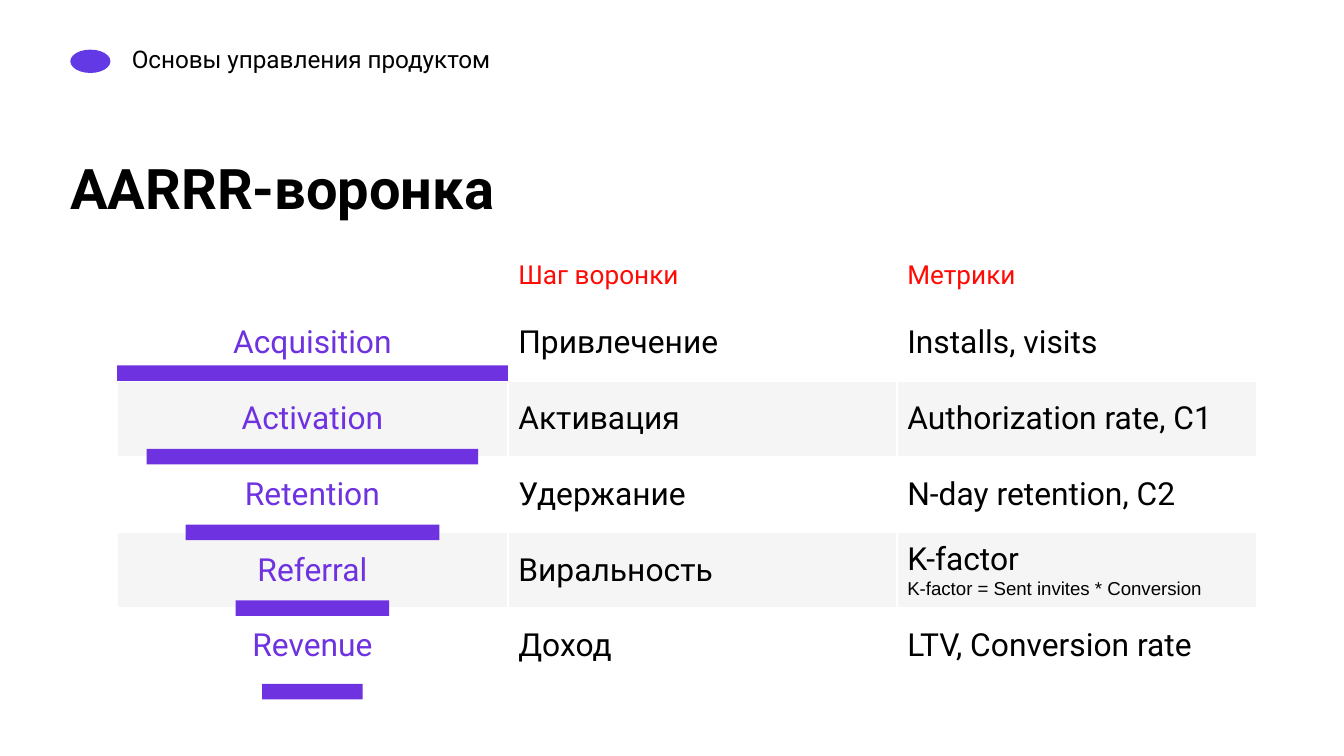
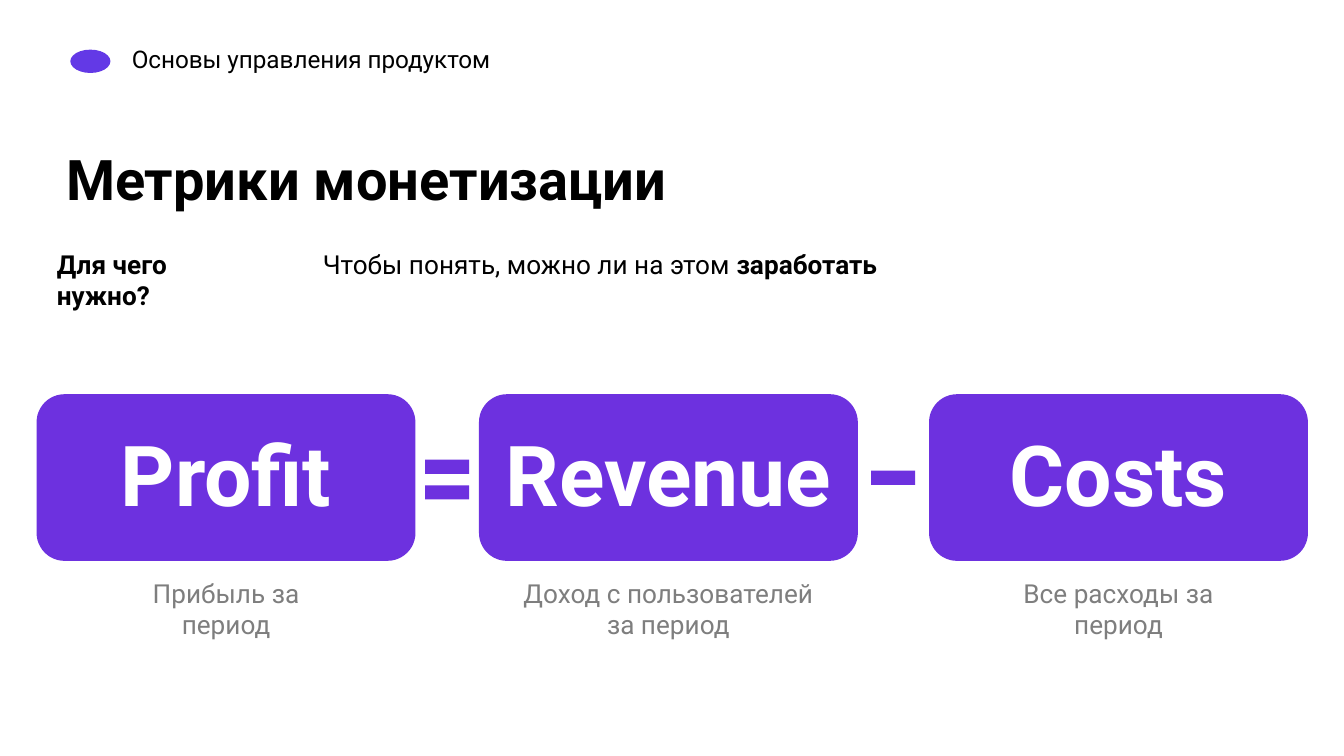
from dataclasses import dataclass

from lxml import etree
from pptx import Presentation
from pptx.dml.color import RGBColor
from pptx.enum.shapes import MSO_SHAPE
from pptx.enum.text import MSO_ANCHOR, PP_ALIGN
from pptx.oxml.ns import qn
from pptx.util import Pt

PURPLE = "6E32E0"
BLOCK = "6D31DF"
MARK = "6339E6"
RED = "FF0A05"
GREY = "7E7E7E"
STRIPE = "F5F5F5"
WHITE = "FFFFFF"
BLACK = "000000"


def color(hex_value):
    return RGBColor.from_string(hex_value)


@dataclass
class Line:
    """One paragraph; bold_tail is a closing run in bold."""
    text: str
    size: float = 14
    color: str = BLACK
    bold: bool = False
    centered: bool = False
    before: float = 0
    spacing: float = 1.0
    font: str = "Roboto"
    bold_tail: str = ""


class Deck:
    def __init__(self):
        self.presentation = Presentation()
        self.presentation.slide_width = Pt(720)
        self.presentation.slide_height = Pt(405)
        self.slide = None

    def add_slide(self, title, left, top):
        """Start a slide with the course header and a title."""
        self.slide = self.presentation.slides.add_slide(self.presentation.slide_layouts[6])
        self.block(37.7, 26.6, 21.5, 12.5, MARK, MSO_SHAPE.OVAL)
        self.text(67.7, 20.9, 425.5, 18,
                  [Line("Основы управления продуктом", 13, spacing=1.01)], (2.9, 2.9))
        self.text(left, top, 571, 35.3, [Line(title, 30, bold=True)])

    def block(self, left, top, width, height, fill, kind=MSO_SHAPE.RECTANGLE):
        shape = self.slide.shapes.add_shape(kind, Pt(left), Pt(top), Pt(width), Pt(height))
        shape.shadow.inherit = False
        shape.fill.solid()
        shape.fill.fore_color.rgb = color(fill)
        shape.line.fill.background()
        return shape

    def set_lines(self, frame, lines):
        for index, line in enumerate(lines):
            paragraph = frame.add_paragraph() if index else frame.paragraphs[0]
            paragraph.alignment = PP_ALIGN.CENTER if line.centered else PP_ALIGN.LEFT
            paragraph.line_spacing = line.spacing
            if index:
                paragraph.space_before = Pt(line.before)
            font = paragraph.font
            font.name, font.size, font.bold = line.font, Pt(line.size), line.bold
            font.color.rgb = color(line.color)
            if line.text:
                paragraph.add_run().text = line.text
            if line.bold_tail:
                tail = paragraph.add_run()
                tail.text = line.bold_tail
                tail.font.bold = True

    def text(self, left, top, width, height, lines, inset=(0, 0.7)):
        frame = self.slide.shapes.add_textbox(
            Pt(left), Pt(top), Pt(width), Pt(height)).text_frame
        frame.word_wrap = True
        frame.margin_left = frame.margin_right = Pt(inset[0])
        frame.margin_top = Pt(inset[1])
        frame.margin_bottom = Pt(0)
        self.set_lines(frame, lines)

    def table(self, left, top, widths, heights, rows):
        """Rows of cells, each a list of lines; the first row is the header."""
        table = self.slide.shapes.add_table(
            len(rows), len(widths), Pt(left), Pt(top),
            Pt(sum(widths)), Pt(sum(heights))).table
        table.first_row = table.horz_banding = False
        for column, width in zip(table.columns, widths):
            column.width = Pt(width)
        for index, (row, height, cells) in enumerate(zip(table.rows, heights, rows)):
            row.height = Pt(height)
            for cell, lines in zip(row.cells, cells):
                cell.margin_left = cell.margin_right = Pt(5.6)
                cell.margin_top = cell.margin_bottom = Pt(2.8)
                cell.vertical_anchor = MSO_ANCHOR.MIDDLE if index else MSO_ANCHOR.TOP
                self.borders(cell, bottom=1 if index else 3)
                cell.fill.solid()
                cell.fill.fore_color.rgb = color(
                    STRIPE if index and index % 2 == 0 else WHITE)
                self.set_lines(cell.text_frame, lines)

    def borders(self, cell, bottom):
        properties = cell._tc.get_or_add_tcPr()
        for side, width in (("L", 1), ("R", 1), ("T", 1), ("B", bottom)):
            edge = etree.SubElement(properties, qn(f"a:ln{side}"), w=str(Pt(width)))
            fill = etree.SubElement(edge, qn("a:solidFill"))
            etree.SubElement(fill, qn("a:srgbClr"), val=WHITE)


def build_funnel(deck):
    deck.add_slide("AARRR-воронка", 37.7, 81.4)

    # Funnel steps and their metrics
    steps = [
        ("Acquisition", "Привлечение", "Installs, visits"),
        ("Activation", "Активация", "Authorization rate, C1"),
        ("Retention", "Удержание", "N-day retention, C2"),
        ("Referral", "Виральность", "K-factor"),
        ("Revenue", "Доход", "LTV, Conversion rate"),
    ]
    rows = [[[Line(heading, color=RED)] for heading in ("", "Шаг воронки", "Метрики")]]
    for stage, step, metric in steps:
        rows.append([[Line(stage, 17, PURPLE, centered=True)],
                     [Line(step, 17)], [Line(metric, 17)]])
    rows[4][2].append(Line("K-factor = Sent invites * Conversion", 10, font="Arial"))
    left, stage_width = 62.7, 209.4
    deck.table(left, 136.8, [stage_width, 208.4, 193], [26.6] + [40.6] * 5, rows)

    # Narrowing bars under the stages
    center = left + stage_width / 2
    for top, width in ((195.8, 209.4), (240.5, 177.6), (281.1, 136),
                       (321.7, 82.2), (366.4, 53.8)):
        deck.block(center - width / 2, top, width, 8.3, PURPLE)


def build_monetization(deck):
    deck.add_slide("Метрики монетизации", 35.4, 76.8)

    # Purpose
    deck.text(172.9, 132.4, 425.5, 34, [
        Line("Чтобы понять, можно ли на этом ", bold_tail="заработать")])
    deck.text(30.5, 132.4, 125, 34, [
        Line("Для чего", bold=True), Line("нужно?", bold=True)])

    # Formula terms with captions
    block_width, block_height, radius = 203, 89.3, 15
    terms = [
        (19.6, 123, "Profit", ["Прибыль за период"]),
        (256.6, 202.5, "Revenue", ["Доход с пользователей", "за период"]),
        (497.7, 145.4, "Costs", ["Все расходы за период"]),
    ]
    for left, text_width, term, captions in terms:
        card = deck.block(left, 211.2, block_width, block_height, BLOCK,
                          MSO_SHAPE.ROUNDED_RECTANGLE)
        card.adjustments[0] = radius / block_height
        lines = [Line(term, 45, WHITE, bold=True, centered=True)]
        lines += [Line(caption, color=GREY, centered=True, before=0 if index else 29)
                  for index, caption in enumerate(captions)]
        deck.text(left + (block_width - text_width) / 2, 225.4, text_width, 100, lines)

    # Equals and minus signs
    for left, top in ((227.7, 246.3), (227.7, 260), (466.7, 252.2)):
        deck.block(left, top, 23.6, 7.6, BLOCK)


def main():
    deck = Deck()
    build_funnel(deck)
    build_monetization(deck)
    deck.presentation.save("out.pptx")


if __name__ == "__main__":
    main()
